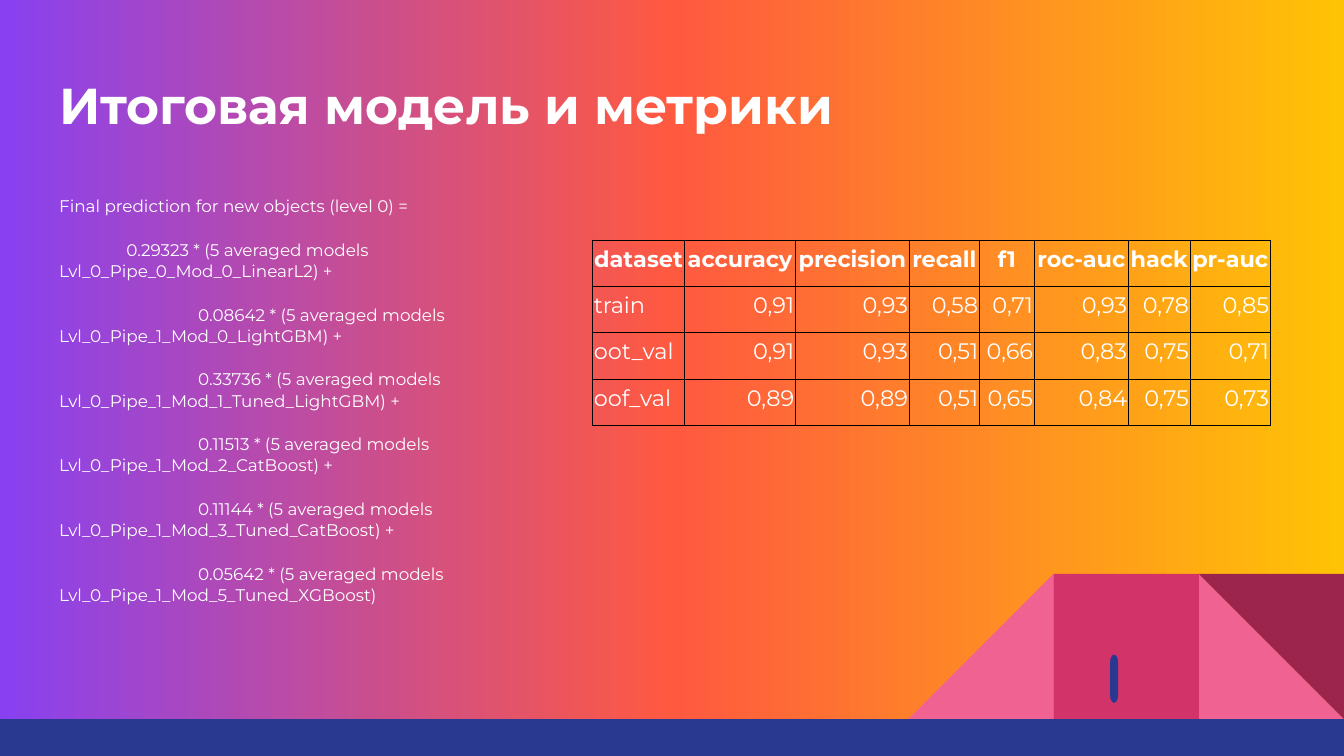
from copy import deepcopy

from lxml import etree
from pptx import Presentation
from pptx.dml.color import RGBColor
from pptx.enum.shapes import MSO_SHAPE
from pptx.enum.text import MSO_ANCHOR, MSO_AUTO_SIZE, PP_ALIGN
from pptx.oxml.ns import qn
from pptx.util import Pt

TRIANGLE = MSO_SHAPE.RIGHT_TRIANGLE
RECTANGLE = MSO_SHAPE.RECTANGLE
TERMINATOR = MSO_SHAPE.FLOWCHART_TERMINATOR
TOP, MIDDLE, BOTTOM = MSO_ANCHOR.TOP, MSO_ANCHOR.MIDDLE, MSO_ANCHOR.BOTTOM
LEFT, CENTER, RIGHT = PP_ALIGN.LEFT, PP_ALIGN.CENTER, PP_ALIGN.RIGHT
NO_AUTOFIT = MSO_AUTO_SIZE.NONE

WIDTH, HEIGHT = 720, 405
FONT = "Montserrat"
WHITE, BLACK, NAVY = "FFFFFF", "000000", "2A3990"
PINK, CRIMSON, PLUM = "F06292", "D23369", "9C254D"
BACKGROUND = [(0, "8841F1"), (0.5, "FF5940"), (1, "FFC305")]
TILE, FLOOR = 77.76, 385.2

TITLE = "Итоговая модель и метрики"
INTRO = "Final prediction for new objects (level 0) ="
MODELS = [
    ("0.29323", "Lvl_0_Pipe_0_Mod_0_LinearL2"),
    ("0.08642", "Lvl_0_Pipe_1_Mod_0_LightGBM"),
    ("0.33736", "Lvl_0_Pipe_1_Mod_1_Tuned_LightGBM"),
    ("0.11513", "Lvl_0_Pipe_1_Mod_2_CatBoost"),
    ("0.11144", "Lvl_0_Pipe_1_Mod_3_Tuned_CatBoost"),
    ("0.05642", "Lvl_0_Pipe_1_Mod_5_Tuned_XGBoost"),
]
METRICS = [
    ["dataset", "accuracy", "precision", "recall", "f1", "roc-auc", "hack", "pr-auc"],
    ["train", "0,91", "0,93", "0,58", "0,71", "0,93", "0,78", "0,85"],
    ["oot_val", "0,91", "0,93", "0,51", "0,66", "0,83", "0,75", "0,71"],
    ["oof_val", "0,89", "0,89", "0,51", "0,65", "0,84", "0,75", "0,73"],
]
COLUMN_WIDTHS = [49.4, 59.4, 61, 37.6, 29.4, 50.4, 33.1, 43]
ROW_HEIGHT = 24.8


def color(value):
    """Turn a hex string into a colour."""
    return RGBColor.from_string(value)


def paint_background(slide):
    """Fill the slide with a horizontal three-colour gradient."""
    fill = slide.background.fill
    fill.gradient()
    fill.gradient_angle = 0
    stops = slide.element.find(".//" + qn("a:gsLst"))
    stops.append(deepcopy(stops[-1]))
    for stop, (position, value) in zip(fill.gradient_stops, BACKGROUND):
        stop.position = position
        stop.color.rgb = color(value)


def add_block(slide, kind, box, value, rotation=0, flipped=False):
    """Add a plain filled shape without an outline."""
    shape = slide.shapes.add_shape(kind, *map(Pt, box))
    shape.shadow.inherit = False
    shape.fill.solid()
    shape.fill.fore_color.rgb = color(value)
    shape.line.fill.background()
    shape.rotation = rotation
    if flipped:
        shape.element.spPr.find(qn("a:xfrm")).set("flipH", "1")


def add_decoration(slide):
    """Add the corner tiles, the bottom band and the small pill."""
    left, middle, right = (WIDTH - TILE * count for count in (3, 2, 1))
    top = FLOOR - TILE
    add_block(slide, TRIANGLE, (right, top, TILE, TILE), PINK)
    add_block(slide, TRIANGLE, (left, top, TILE, TILE), PINK, flipped=True)
    add_block(slide, RECTANGLE, (middle, top, TILE, TILE), CRIMSON)
    add_block(slide, TRIANGLE, (right, top, TILE, TILE), PLUM, rotation=180)
    add_block(slide, RECTANGLE, (0, FLOOR, WIDTH, HEIGHT - FLOOR), NAVY)
    add_block(slide, TERMINATOR, (583.9, 361.5, 25.9, 4.3), NAVY, rotation=90)


def style_paragraph(para, size, bold=False, align=LEFT, spacing=1.0):
    """Set the font, alignment and line spacing of a paragraph."""
    para.alignment = align
    para.line_spacing = spacing
    para.font.name = FONT
    para.font.size = Pt(size)
    para.font.bold = bold
    para.font.color.rgb = color(WHITE)


def place_placeholder(placeholder, box, anchor):
    """Move a placeholder and return its prepared text frame."""
    placeholder.left, placeholder.top, placeholder.width, placeholder.height = map(Pt, box)
    frame = placeholder.text_frame
    frame.word_wrap = True
    frame.auto_size = NO_AUTOFIT
    frame.vertical_anchor = anchor
    frame.margin_left = frame.margin_right = Pt(7.2)
    frame.margin_top = frame.margin_bottom = Pt(7.2)
    return frame


def add_title(slide):
    """Write the slide title."""
    frame = place_placeholder(slide.shapes.title, (24.5, 32.4, 671, 47.5), MIDDLE)
    frame.text = TITLE
    style_paragraph(frame.paragraphs[0], 27, bold=True)


def add_formula(slide):
    """Write the weighted sum of models as unbulleted paragraphs."""
    frame = place_placeholder(slide.placeholders[1], (24.5, 97.2, 303, 237), TOP)
    terms = [f"{weight} * (5 averaged models {name})" for weight, name in MODELS]
    lines = [INTRO] + [f"{term} +" for term in terms[:-1]] + terms[-1:]
    frame.text = "\n".join(lines)
    indents = [0, 36] + [74.5] * (len(lines) - 2)
    for para, indent in zip(frame.paragraphs, indents):
        style_paragraph(para, 9, spacing=1.05)
        para.space_before = Pt(12 if indent else 0)
        para.space_after = Pt(0)
        properties = para._p.get_or_add_pPr()
        properties.set("marL", "0")
        properties.set("indent", str(int(Pt(indent))))
        properties.insert_element_before(
            etree.SubElement(properties, qn("a:buNone")), "a:tabLst", "a:defRPr")


def add_borders(cell):
    """Draw thin black lines on all sides of a cell."""
    properties = cell._tc.get_or_add_tcPr()
    for index, side in enumerate(("lnL", "lnR", "lnT", "lnB")):
        line = etree.Element(qn(f"a:{side}"), w=str(int(Pt(0.5))))
        fill = etree.SubElement(line, qn("a:solidFill"))
        etree.SubElement(fill, qn("a:srgbClr"), val=BLACK)
        properties.insert(index, line)


def fill_cell(cell, text, header, label):
    """Write and format one table cell."""
    cell.text = text
    cell.fill.background()
    cell.margin_left = cell.margin_right = cell.margin_top = Pt(0.72)
    cell.margin_bottom = Pt(7.2)
    cell.vertical_anchor = TOP if header else BOTTOM
    align = CENTER if header else LEFT if label else RIGHT
    spacing = 1.0 if label and not header else 1.15
    style_paragraph(cell.text_frame.paragraphs[0], 12, header, align, spacing)
    add_borders(cell)


def add_metrics(slide):
    """Add the table of metrics for each dataset."""
    box = (317.4, 128.7, sum(COLUMN_WIDTHS), ROW_HEIGHT * len(METRICS))
    table = slide.shapes.add_table(len(METRICS), len(COLUMN_WIDTHS), *map(Pt, box)).table
    for column, width in zip(table.columns, COLUMN_WIDTHS):
        column.width = Pt(width)
    for row_index, values in enumerate(METRICS):
        table.rows[row_index].height = Pt(ROW_HEIGHT)
        for column_index, text in enumerate(values):
            cell = table.cell(row_index, column_index)
            fill_cell(cell, text, row_index == 0, column_index == 0)


def main():
    """Build the slide and save the deck."""
    deck = Presentation()
    deck.slide_width, deck.slide_height = Pt(WIDTH), Pt(HEIGHT)
    slide = deck.slides.add_slide(deck.slide_layouts[1])
    paint_background(slide)
    add_decoration(slide)
    add_title(slide)
    add_formula(slide)
    add_metrics(slide)
    deck.save("out.pptx")


if __name__ == "__main__":
    main()
